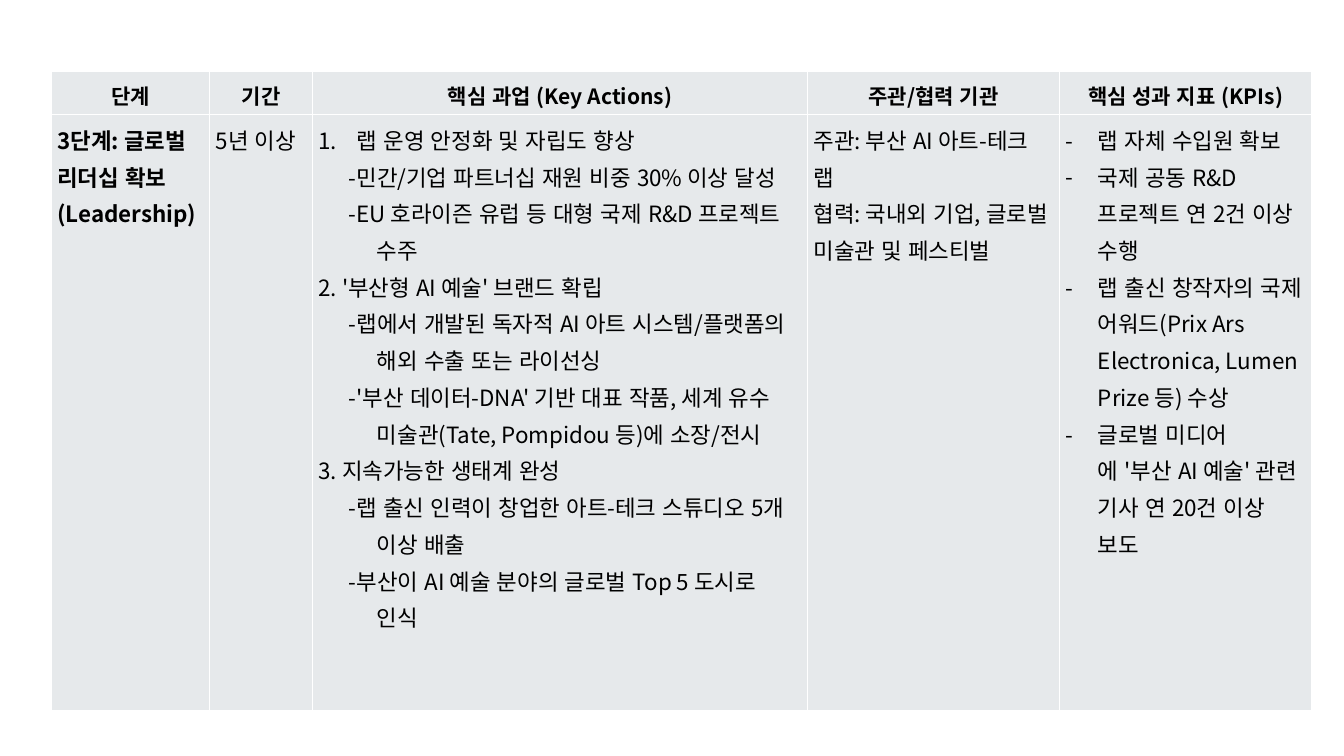
from lxml import etree
from pptx import Presentation
from pptx.dml.color import RGBColor
from pptx.enum.lang import MSO_LANGUAGE_ID
from pptx.enum.text import PP_ALIGN
from pptx.oxml.ns import qn
from pptx.util import Inches, Pt

FONT = "Noto Sans CJK KR"
KOREAN = MSO_LANGUAGE_ID.KOREAN
BLACK = RGBColor(0x00, 0x00, 0x00)
WHITE = RGBColor(0xFF, 0xFF, 0xFF)
PALE_GRAY = RGBColor(0xE6, 0xE9, 0xEB)
LEFT, CENTER = PP_ALIGN.LEFT, PP_ALIGN.CENTER

NUMBERED = dict(margin=0.38, indent=-0.38, bullet=("a:buAutoNum", "type", "arabicPeriod"))
DETAIL = dict(margin=0.58, indent=-0.28)
DASHED = dict(margin=0.32, indent=-0.32, bullet=("a:buChar", "char", "-"))

COLUMN_WIDTHS = [1.57, 1.02, 4.91, 2.5, 2.5]
ROW_HEIGHTS = [0.43, 5.55]
HEADINGS = ["단계", "기간", "핵심 과업 (Key Actions)", "주관/협력 기관", "핵심 성과 지표 (KPIs)"]

stage = [("3단계: 글로벌 리더십 확보", dict(bold=True)), ("(Leadership)", dict(bold=True))]
period = [("5년 이상", {})]
key_actions = [
    ("랩 운영 안정화 및 자립도 향상", NUMBERED),
    ("-민간/기업 파트너십 재원 비중 30% 이상 달성", DETAIL),
    ("-EU 호라이즌 유럽 등 대형 국제 R&D 프로젝트 수주", DETAIL),
    ("2. '부산형 AI 예술' 브랜드 확립", {}),
    ("-랩에서 개발된 독자적 AI 아트 시스템/플랫폼의 해외 수출 또는 라이선싱", DETAIL),
    ("-'부산 데이터-DNA' 기반 대표 작품, 세계 유수 미술관(Tate, Pompidou 등)에 소장/전시", DETAIL),
    ("3. 지속가능한 생태계 완성", {}),
    ("-랩 출신 인력이 창업한 아트-테크 스튜디오 5개 이상 배출", DETAIL),
    ("-부산이 AI 예술 분야의 글로벌 Top 5 도시로 인식", DETAIL),
]
organizations = [
    ("주관: 부산 AI 아트-테크 랩", {}),
    ("협력: 국내외 기업, 글로벌 미술관 및 페스티벌", {}),
]
kpis = [
    ("랩 자체 수입원 확보", DASHED),
    ("국제 공동 R&D 프로젝트 연 2건 이상 수행", DASHED),
    ("랩 출신 창작자의 국제 어워드(Prix Ars Electronica, Lumen Prize 등) 수상", DASHED),
    ("글로벌 미디어\n에 '부산 AI 예술' 관련 기사 연 20건 이상 보도", DASHED),
]


def write_paragraph(paragraph, text, size=16, bold=False, align=LEFT,
                    margin=0, indent=0, bullet=None):
    """Fill a paragraph; bullet is (tag, attribute, value), lengths are inches."""
    paragraph.alignment = align
    paragraph.line_spacing = 1.14
    properties = paragraph._p.get_or_add_pPr()
    properties.set("marL", str(Inches(margin)))
    properties.set("indent", str(Inches(indent)))
    if bullet:
        tag, attribute, value = bullet
        etree.SubElement(properties, qn("a:buFont")).set("typeface", FONT)
        etree.SubElement(properties, qn(tag)).set(attribute, value)
    for number, line in enumerate(text.split("\n")):
        if number:
            paragraph.add_line_break()
        run = paragraph.add_run()
        run.text = line
        run.font.name = FONT
        run.font.size = Pt(size)
        run.font.bold = bold
        run.font.color.rgb = BLACK
        run.font.language_id = KOREAN
        run._r.get_or_add_rPr().set("kern", "1200")


def style_cell(cell, side_margin):
    """Set the margins, white borders and pale fill of a cell."""
    cell.margin_left = cell.margin_right = Inches(side_margin)
    cell.margin_top = cell.margin_bottom = Inches(0.04)
    properties = cell._tc.get_or_add_tcPr()
    for side in ("L", "R", "T", "B"):
        border = etree.SubElement(properties, qn("a:ln" + side), w=str(Pt(1)))
        line_fill = etree.SubElement(border, qn("a:solidFill"))
        etree.SubElement(line_fill, qn("a:srgbClr"), val=str(WHITE))
    cell.fill.solid()
    cell.fill.fore_color.rgb = PALE_GRAY


presentation = Presentation()
presentation.slide_width = Inches(13.33)
presentation.slide_height = Inches(7.5)
slide = presentation.slides.add_slide(presentation.slide_layouts[6])

roadmap = slide.shapes.add_table(
    len(ROW_HEIGHTS), len(COLUMN_WIDTHS), Inches(0.51), Inches(0.71),
    Inches(sum(COLUMN_WIDTHS)), Inches(sum(ROW_HEIGHTS))).table
roadmap.first_row = False
roadmap.horz_banding = False
for column, width in zip(roadmap.columns, COLUMN_WIDTHS):
    column.width = Inches(width)
for row, height in zip(roadmap.rows, ROW_HEIGHTS):
    row.height = Inches(height)

header_row = [[(heading, dict(size=15, bold=True, align=CENTER))] for heading in HEADINGS]
stage_row = [stage, period, key_actions, organizations, kpis]
for row, contents, side_margin in zip(roadmap.rows, (header_row, stage_row), (0.07, 0.06)):
    for cell, entries in zip(row.cells, contents):
        style_cell(cell, side_margin)
        for number, (text, text_format) in enumerate(entries):
            frame = cell.text_frame
            paragraph = frame.add_paragraph() if number else frame.paragraphs[0]
            write_paragraph(paragraph, text, **text_format)

presentation.save("out.pptx")
